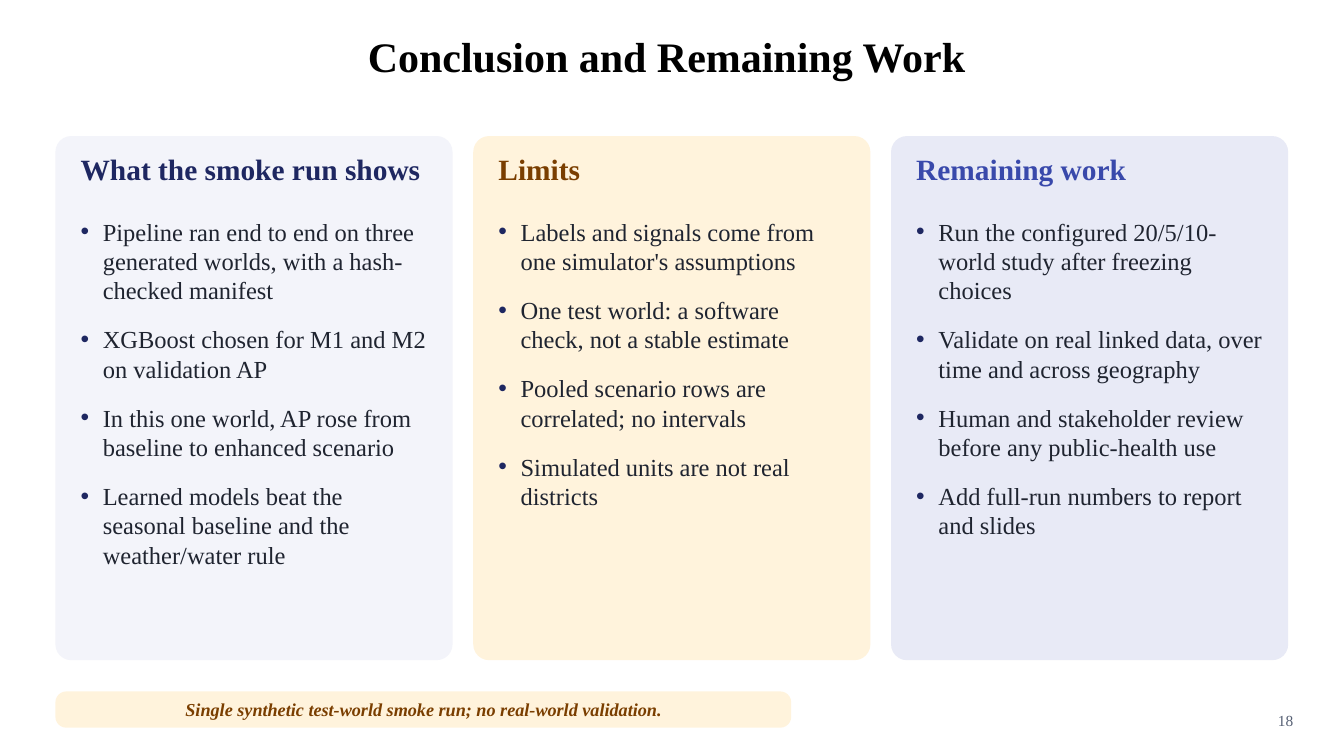
from lxml import etree
from pptx import Presentation
from pptx.dml.color import RGBColor
from pptx.enum.shapes import MSO_SHAPE
from pptx.enum.text import MSO_ANCHOR, PP_ALIGN
from pptx.oxml.ns import qn
from pptx.util import Pt

ROUNDED = MSO_SHAPE.ROUNDED_RECTANGLE
TOP, MIDDLE = MSO_ANCHOR.TOP, MSO_ANCHOR.MIDDLE
LEFT, CENTER, RIGHT = PP_ALIGN.LEFT, PP_ALIGN.CENTER, PP_ALIGN.RIGHT

FONT = "Times New Roman"
BLACK, INK, GREY = "000000", "1F2430", "566074"
NAVY, BROWN, INDIGO = "1E2761", "7A3E00", "3949AB"
PALE, CREAM, LAVENDER = "F3F4FA", "FFF3DC", "E8EAF6"

MARGIN = 39.6
CARD_TOP, CARD_WIDTH, CARD_HEIGHT, CARD_GAP = 97.2, 283.7, 374.4, 14.75
PADDING = 18
BULLET_INDENT = 15.84

CARDS = [
    ("What the smoke run shows", NAVY, PALE, [
        "Pipeline ran end to end on three generated worlds, with a hash-checked manifest",
        "XGBoost chosen for M1 and M2 on validation AP",
        "In this one world, AP rose from baseline to enhanced scenario",
        "Learned models beat the seasonal baseline and the weather/water rule",
    ]),
    ("Limits", BROWN, CREAM, [
        "Labels and signals come from one simulator's assumptions",
        "One test world: a software check, not a stable estimate",
        "Pooled scenario rows are correlated; no intervals",
        "Simulated units are not real districts",
    ]),
    ("Remaining work", INDIGO, LAVENDER, [
        "Run the configured 20/5/10-world study after freezing choices",
        "Validate on real linked data, over time and across geography",
        "Human and stakeholder review before any public-health use",
        "Add full-run numbers to report and slides",
    ]),
]


def color(hex_string):
    return RGBColor.from_string(hex_string)


def add_run(paragraph, text, size, hex_color, bold=False, italic=False):
    run = paragraph.add_run()
    run.text = text
    font = run.font
    font.name, font.size = FONT, Pt(size)
    font.bold, font.italic = bold, italic
    font.color.rgb = color(hex_color)


def add_frame(slide, box, anchor=TOP):
    frame = slide.shapes.add_textbox(*map(Pt, box)).text_frame
    frame.margin_left = frame.margin_right = 0
    frame.margin_top = frame.margin_bottom = 0
    frame.word_wrap = True
    frame.vertical_anchor = anchor
    return frame


def add_line(slide, box, text, size, hex_color, alignment=LEFT, anchor=TOP, bold=False):
    paragraph = add_frame(slide, box, anchor).paragraphs[0]
    paragraph.alignment = alignment
    add_run(paragraph, text, size, hex_color, bold)


def add_panel(slide, box, fill, rounding):
    panel = slide.shapes.add_shape(ROUNDED, *map(Pt, box))
    panel.adjustments[0] = rounding
    panel.shadow.inherit = False
    panel.fill.solid()
    panel.fill.fore_color.rgb = color(fill)
    panel.line.fill.background()
    return panel


def set_bullet(paragraph):
    properties = paragraph._p.get_or_add_pPr()
    properties.set("marL", str(Pt(BULLET_INDENT)))
    properties.set("indent", str(-Pt(BULLET_INDENT)))
    bullet_color = etree.SubElement(properties, qn("a:buClr"))
    etree.SubElement(bullet_color, qn("a:srgbClr"), val=NAVY)
    etree.SubElement(properties, qn("a:buFont"), typeface="Arial")
    etree.SubElement(properties, qn("a:buChar"), char="•")


def add_bullets(slide, box, items):
    frame = add_frame(slide, box)
    for index, item in enumerate(items):
        paragraph = frame.add_paragraph() if index else frame.paragraphs[0]
        set_bullet(paragraph)
        paragraph.space_after = Pt(14)
        add_run(paragraph, item, 17.5, INK)


def add_card(slide, box, heading, heading_color, fill, items):
    left, top, width, height = box
    add_panel(slide, box, fill, 0.04)
    inner_left, inner_width = left + PADDING, width - 2 * PADDING
    add_line(slide, (inner_left, top + 10.8, inner_width, 28.8),
             heading, 21, heading_color, bold=True)
    add_bullets(slide, (inner_left, top + 57.6, inner_width, height - 64.8), items)


def add_caveat(slide, box, text):
    frame = add_panel(slide, box, CREAM, 0.3).text_frame
    frame.word_wrap = True
    frame.vertical_anchor = MIDDLE
    frame.margin_left = frame.margin_right = Pt(10.8)
    frame.margin_top = frame.margin_bottom = Pt(3.6)
    paragraph = frame.paragraphs[0]
    paragraph.alignment = CENTER
    add_run(paragraph, text, 13, BROWN, bold=True, italic=True)


def main():
    presentation = Presentation()
    presentation.slide_width, presentation.slide_height = Pt(960), Pt(540)
    slide = presentation.slides.add_slide(presentation.slide_layouts[6])

    # Title and page number
    add_line(slide, (165.6, 14.4, 621.4, 50.4), "Conclusion and Remaining Work",
             30, BLACK, CENTER, MIDDLE, bold=True)
    add_line(slide, (887.8, 507.6, 36, 18), "18", 11, GREY, RIGHT)

    # Caveat strip
    add_caveat(slide, (MARGIN, 493.9, 525.6, 25.9),
               "Single synthetic test-world smoke run; no real-world validation.")

    # Three cards
    for column, card in enumerate(CARDS):
        left = MARGIN + column * (CARD_WIDTH + CARD_GAP)
        add_card(slide, (left, CARD_TOP, CARD_WIDTH, CARD_HEIGHT), *card)

    presentation.save("out.pptx")


if __name__ == "__main__":
    main()
